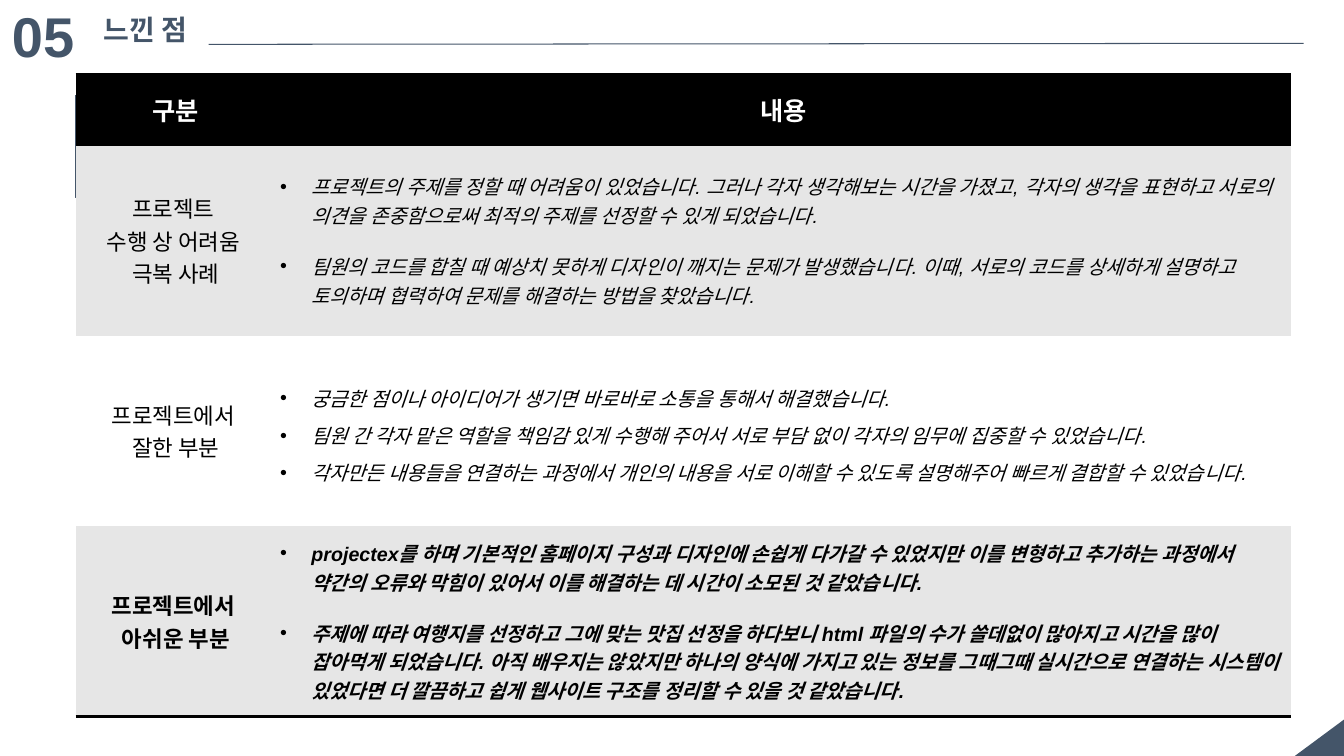
from lxml.etree import SubElement
from pptx import Presentation
from pptx.dml.color import RGBColor
from pptx.enum.shapes import MSO_CONNECTOR as Connector, MSO_SHAPE as Shape
from pptx.enum.text import MSO_ANCHOR as Anchor, MSO_AUTO_SIZE as AutoSize, PP_ALIGN as Align
from pptx.oxml.ns import qn
from pptx.util import Inches, Pt

NAVY, BLACK, WHITE, GRAY = "445569", "000000", "FFFFFF", "E6E6E6"
NO_GRID_STYLE = "{2D5ABB26-0587-4C30-8999-92F81FD0307C}"

HEADINGS = ["구분", "내용"]
REVIEWS = [
    {"topic": ["프로젝트 ", "수행 상 어려움 ", "극복 사례"],
     "points": [
         "프로젝트의 주제를 정할 때 어려움이 있었습니다. 그러나 각자 생각해보는 시간을 가졌고, "
         "각자의 생각을 표현하고 서로의 의견을 존중함으로써 최적의 주제를 선정할 수 있게 되었습니다.",
         "팀원의 코드를 합칠 때 예상치 못하게 디자인이 깨지는 문제가 발생했습니다. 이때, "
         "서로의 코드를 상세하게 설명하고 토의하며 협력하여 문제를 해결하는 방법을 찾았습니다."],
     "fill": GRAY, "gap": 16, "spacing": 1.0, "bold": False},
    {"topic": ["프로젝트에서 ", "잘한 부분"],
     "points": [
         "궁금한 점이나 아이디어가 생기면 바로바로 소통을 통해서 해결했습니다.",
         "팀원 간 각자 맡은 역할을 책임감 있게 수행해 주어서 서로 부담 없이 각자의 임무에 집중할 수 있었습니다.",
         "각자만든 내용들을 연결하는 과정에서 개인의 내용을 서로 이해할 수 있도록 설명해주어 "
         "빠르게 결합할 수 있었습니다."],
     "fill": WHITE, "gap": 0, "spacing": 1.3, "bold": False},
    {"topic": ["프로젝트에서 ", "아쉬운 부분"],
     "points": [
         "projectex를 하며 기본적인 홈페이지 구성과 디자인에 손쉽게 다가갈 수 있었지만 이를 변형하고 추가하는 과정에서 "
         "약간의 오류와 막힘이 있어서 이를 해결하는 데 시간이 소모된 것 같았습니다.",
         "주제에 따라 여행지를 선정하고 그에 맞는 맛집 선정을 하다보니 html 파일의 수가 쓸데없이 많아지고 시간을 많이 "
         "잡아먹게 되었습니다. 아직 배우지는 않았지만 하나의 양식에 가지고 있는 정보를 그때그때 실시간으로 연결하는 "
         "시스템이 있었다면 더 깔끔하고 쉽게 웹사이트 구조를 정리할 수 있을 것 같았습니다."],
     "fill": GRAY, "gap": 16, "spacing": 1.0, "bold": True},
]


def color(value):
    return RGBColor.from_string(value)


def write(para, text, hue, **formats):
    span = para.add_run()
    span.text = text
    for name, value in formats.items():
        setattr(span.font, name, value)
    span.font.color.rgb = color(hue)


def add_label(page, box, text, size, font):
    label = page.shapes.add_textbox(*map(Inches, box))
    label.text_frame.word_wrap = True
    label.text_frame.auto_size = AutoSize.SHAPE_TO_FIT_TEXT
    write(label.text_frame.paragraphs[0], text, NAVY, size=Pt(size), name=font, bold=True)


def add_block(page, kind, box, rotation=0):
    block = page.shapes.add_shape(kind, *map(Inches, box))
    block.shadow.inherit = False
    block.rotation = rotation
    block.fill.solid()
    block.fill.fore_color.rgb = color(NAVY)
    return block


def add_header(page, left, top, width):
    add_label(page, (left, top, 1.27, 0.77), "05", 40, "Arial")
    add_label(page, (left + 0.91, top + 0.1, 1.14, 0.44), "느낀 점", 20, "Calibri")
    rule = page.shapes.add_connector(
        Connector.STRAIGHT, Inches(left + 2.05), Inches(top + 0.47),
        Inches(left + width), Inches(top + 0.46))
    rule.line.color.rgb = color(NAVY)
    rule.line.width = Pt(0.75)
    SubElement(rule._element.spPr, qn("a:effectLst"))


def add_bullet(para):
    props = para._p.get_or_add_pPr()
    props.set("marL", str(Inches(0.31)))
    props.set("indent", str(-Inches(0.31)))
    SubElement(SubElement(props, qn("a:buClr")), qn("a:srgbClr"), val=BLACK)
    SubElement(props, qn("a:buFont"), typeface="Arial")
    SubElement(props, qn("a:buChar"), char="•")


def style_cell(cell, fill, edges=()):
    """Fill the cell and rule the named edges (lnT, lnB) in black."""
    props = cell._tc.get_or_add_tcPr()
    for edge in edges:
        line = SubElement(props, qn(f"a:{edge}"), w=str(Pt(2)))
        SubElement(SubElement(line, qn("a:solidFill")), qn("a:srgbClr"), val=BLACK)
    cell.fill.solid()
    cell.fill.fore_color.rgb = color(fill)
    cell.vertical_anchor = Anchor.MIDDLE


def cell_paras(cell, texts):
    """Yield one paragraph of the cell with each text."""
    frame = cell.text_frame
    for index, text in enumerate(texts):
        yield (frame.add_paragraph() if index else frame.paragraphs[0]), text


def fill_centered(cell, texts, hue, size, bold):
    for para, text in cell_paras(cell, texts):
        para.alignment = Align.CENTER
        write(para, text, hue, size=Pt(size), name="Arial", bold=bold)


def fill_points(cell, review):
    for side, inset in {"left": 0.04, "right": 0, "top": 0, "bottom": 0}.items():
        setattr(cell, f"margin_{side}", Inches(inset))
    for index, (para, text) in enumerate(cell_paras(cell, review["points"])):
        add_bullet(para)
        para.line_spacing = review["spacing"]
        if index:
            para.space_before = Pt(review["gap"])
        write(para, text, BLACK, size=Pt(14), name="Arial", italic=True, bold=review["bold"])


def add_review_table(page, left, top, width, height):
    add_bar = add_block(page, Shape.RECTANGLE, (left, top + 0.21, 0.09, 1.01))
    add_bar.line.color.rgb = color(NAVY)
    add_bar.line.width = Pt(1)

    frame = page.shapes.add_table(
        len(REVIEWS) + 1, 2, *map(Inches, (left, top, width, height)))
    table = frame.table
    table.first_row = table.horz_banding = False
    table._tbl.tblPr.find(qn("a:tableStyleId")).text = NO_GRID_STYLE
    table.columns[0].width = Inches(1.99)
    table.columns[1].width = Inches(width - 1.99)
    head_height = 0.7
    table.rows[0].height = Inches(head_height)

    for column, heading in enumerate(HEADINGS):
        cell = table.cell(0, column)
        style_cell(cell, BLACK, ("lnT", "lnB"))
        fill_centered(cell, [heading], WHITE, 18, True)
    for row, review in enumerate(REVIEWS, 1):
        table.rows[row].height = Inches((height - head_height) / len(REVIEWS))
        topic, points = table.cell(row, 0), table.cell(row, 1)
        for cell in (topic, points):
            style_cell(cell, review["fill"], ("lnB",) if row == len(REVIEWS) else ())
        fill_centered(topic, review["topic"], BLACK, 16, review["bold"])
        fill_points(points, review)


def main():
    deck = Presentation()
    deck.slide_width, deck.slide_height = Inches(13.33), Inches(7.5)
    page = deck.slides.add_slide(deck.slide_layouts[6])
    corner = add_block(page, Shape.RIGHT_TRIANGLE, (12.9, 7.07, 0.37, 0.5), 270)
    corner.line.fill.background()
    add_header(page, 0.02, -0.03, 12.91)
    add_review_table(page, 0.75, 0.74, 12.05, 6.37)
    deck.save("out.pptx")


if __name__ == "__main__":
    main()
